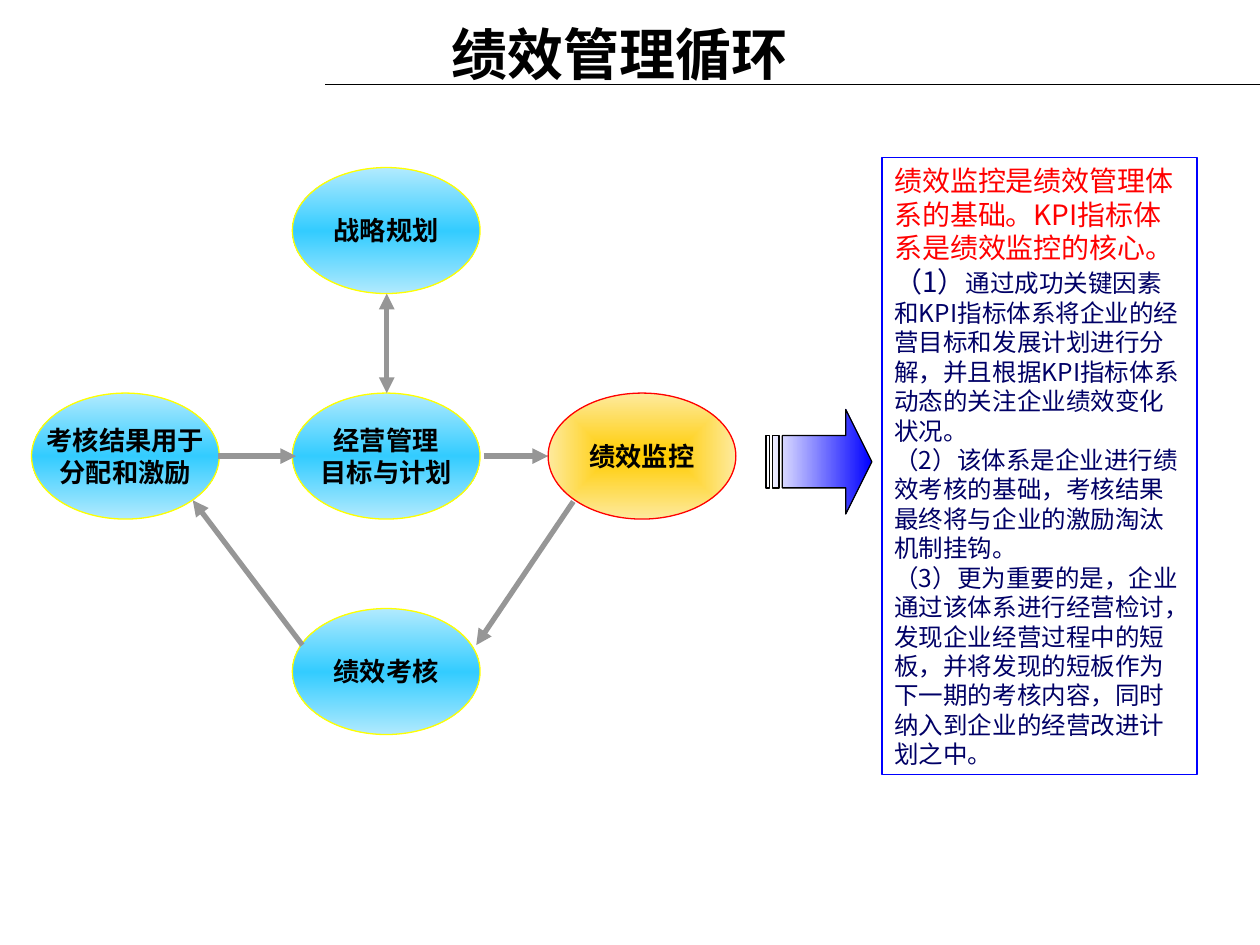
from dataclasses import dataclass

from lxml import etree
from pptx import Presentation
from pptx.dml.color import RGBColor
from pptx.enum.shapes import MSO_CONNECTOR, MSO_SHAPE
from pptx.enum.text import MSO_ANCHOR, MSO_AUTO_SIZE, PP_ALIGN
from pptx.oxml import parse_xml
from pptx.oxml.ns import nsdecls, qn
from pptx.util import Pt

SCALE = 9144
STRAIGHT = MSO_CONNECTOR.STRAIGHT
OVAL, RECT, ARROW = MSO_SHAPE.OVAL, MSO_SHAPE.RECTANGLE, MSO_SHAPE.STRIPED_RIGHT_ARROW
MIDDLE, TOP = MSO_ANCHOR.MIDDLE, MSO_ANCHOR.TOP
CENTER, LEFT = PP_ALIGN.CENTER, PP_ALIGN.LEFT
NO_FIT = MSO_AUTO_SIZE.NONE


@dataclass(frozen=True)
class Theme:
    """Colours, fonts and type sizes of the slide."""
    cjk: str = "Noto Sans CJK SC"
    serif: str = "Times New Roman"
    black: str = "000000"
    grey: str = "969696"
    yellow: str = "FFFF00"
    red: str = "FF0000"
    blue: str = "0000FF"
    navy: str = "000066"
    sky: tuple = ((0, "B1EAFE"), (50, "33CCFF"), (100, "B1EAFE"))
    gold: tuple = ((0, "FFCC00"), (100, "FEEA9E"))
    fade: tuple = ((0, "0000FF"), (100, "FFFFFF"))
    title_size: int = 32
    node_size: int = 15
    lead_size: int = 16
    body_size: int = 14
    thin: float = 0.75
    thick: int = 3


THEME = Theme()
DOWN = '<a:lin ang="5400000" scaled="0"/>'
LEFTWARD = '<a:lin ang="10800000" scaled="0"/>'
FROM_CENTRE = '<a:path path="rect"><a:fillToRect l="50000" t="50000" r="50000" b="50000"/></a:path>'

NODE_W, NODE_H = 149, 100
NODES = [
    (232, 133, ["战略规划"]),
    (232, 483, ["绩效考核"]),
    (232, 312, ["经营管理", "目标与计划"]),
    (435, 312, ["绩效监控"]),
    (25, 312, ["考核结果用于", "分配和激励"]),
]
MONITORING = "绩效监控"
LINKS = [
    ((307, 233), (307, 312), ("headEnd", "tailEnd")),
    ((173, 362), (235, 362), ("tailEnd",)),
    ((384, 362), (435, 362), ("tailEnd",)),
    ((240, 512), (153, 397), ("tailEnd",)),
    ((455, 398), (378, 512), ("tailEnd",)),
]
LEAD = "绩效监控是绩效管理体系的基础。KPI指标体系是绩效监控的核心。"
POINTS = [
    "通过成功关键因素和KPI指标体系将企业的经营目标和发展计划进行分解，并且根据KPI指标体系动态的关注企业绩效变化状况。",
    "（2）该体系是企业进行绩效考核的基础，考核结果最终将与企业的激励淘汰机制挂钩。",
    "（3）更为重要的是，企业通过该体系进行经营检讨，发现企业经营过程中的短板，并将发现的短板作为下一期的考核内容，同时纳入到企业的经营改进计划之中。",
]


def px(*values):
    """Turn px lengths into EMU."""
    return [v * SCALE for v in values]


def rgb(value):
    """Return a colour from its hex code."""
    return RGBColor.from_string(value)


def write(tf, paragraphs, anchor, align, wrap=True):
    """Fill a text frame with paragraphs of (text, size, colour, font, bold) runs."""
    frame_format = {"word_wrap": wrap, "auto_size": NO_FIT, "vertical_anchor": anchor}
    for name, value in frame_format.items():
        setattr(tf, name, value)
    for i, runs in enumerate(paragraphs):
        p = tf.add_paragraph() if i else tf.paragraphs[0]
        p.alignment = align
        for text, size, color, font, bold in runs:
            r = p.add_run()
            r.text = text
            for name, value in {"size": Pt(size), "name": font, "bold": bold}.items():
                setattr(r.font, name, value)
            r.font.color.rgb = rgb(color)
            ea = etree.SubElement(r.font._element, qn("a:ea"))
            ea.set("typeface", THEME.cjk)


def add_line(s, start, end, color, width, ends=()):
    """Add a straight line with arrowheads at the named ends."""
    line = s.shapes.add_connector(STRAIGHT, *px(*start, *end))
    line.line.color.rgb = rgb(color)
    line.line.width = Pt(width)
    ln = line.line._get_or_add_ln()
    for end_name in ends:
        etree.SubElement(ln, qn(f"a:{end_name}")).set("type", "triangle")
    etree.SubElement(line._element.spPr, qn("a:effectLst"))


def add_box(s, kind, box, outline):
    """Add an unfilled, outlined preset shape."""
    sp = s.shapes.add_shape(kind, *px(*box))
    sp.shadow.inherit = False
    sp.fill.background()
    sp.line.color.rgb = rgb(outline)
    sp.line.width = Pt(THEME.thin)
    return sp


def set_gradient(sp, stops, direction):
    """Give a shape a gradient fill."""
    marks = "".join(
        f'<a:gs pos="{pos * 1000}"><a:srgbClr val="{color}"/></a:gs>' for pos, color in stops
    )
    xml = f'<a:gradFill {nsdecls("a")} rotWithShape="1"><a:gsLst>{marks}</a:gsLst>{direction}</a:gradFill>'
    sp_pr = sp._element.spPr
    sp_pr.replace(sp_pr.find(qn("a:noFill")), parse_xml(xml))


def add_title(s, text):
    """Place the title and the rule under it."""
    title = s.shapes.title
    title.left, title.top, title.width, title.height = px(242, 17, 500, 50)
    run = (text, THEME.title_size, THEME.black, THEME.cjk, True)
    write(title.text_frame, [[run]], MIDDLE, CENTER)
    add_line(s, (258, 67), (1000, 67), THEME.black, THEME.thin)


def add_node(s, left, top, lines):
    """Add one step of the cycle."""
    active = lines == [MONITORING]
    sp = add_box(s, OVAL, (left, top, NODE_W, NODE_H), THEME.red if active else THEME.yellow)
    if active:
        set_gradient(sp, THEME.gold, FROM_CENTRE)
    else:
        set_gradient(sp, THEME.sky, DOWN)
    paragraphs = [[(line, THEME.node_size, THEME.black, THEME.serif, True)] for line in lines]
    write(sp.text_frame, paragraphs, MIDDLE, CENTER, wrap=False)


def add_panel(s):
    """Add the explanation panel."""
    sp = add_box(s, RECT, (700, 125, 250, 490), THEME.blue)
    lead = (LEAD, THEME.lead_size, THEME.red, THEME.cjk, False)
    number = ("（1）", THEME.lead_size, THEME.navy, THEME.cjk, False)
    points = [[(text, THEME.body_size, THEME.navy, THEME.cjk, False)] for text in POINTS]
    points[0].insert(0, number)
    write(sp.text_frame, [[lead], *points], TOP, LEFT)


def add_pointer(s):
    """Add the striped arrow towards the panel."""
    sp = add_box(s, ARROW, (608, 325, 84, 83), THEME.black)
    sp.adjustments[1] = 0.25
    set_gradient(sp, THEME.fade, LEFTWARD)


def main():
    """Build and save the slide."""
    prs = Presentation()
    prs.slide_width, prs.slide_height = px(1000, 750)
    s = prs.slides.add_slide(prs.slide_layouts[5])
    add_title(s, "绩效管理循环")
    for node in NODES:
        add_node(s, *node)
    for start, end, ends in LINKS:
        add_line(s, start, end, THEME.grey, THEME.thick, ends)
    add_panel(s)
    add_pointer(s)
    prs.save("out.pptx")


if __name__ == "__main__":
    main()
